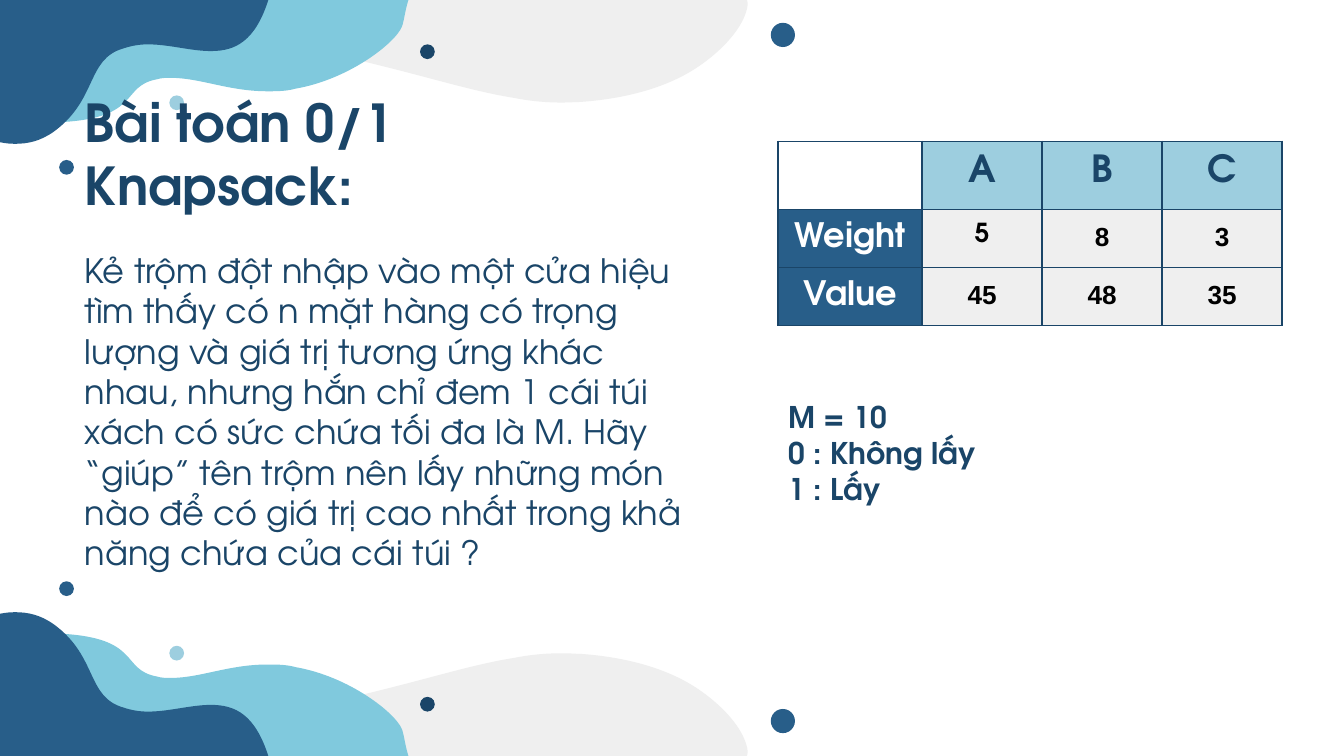
import dataclasses

import lxml.etree
import pptx
import pptx.dml.color
import pptx.enum.shapes
import pptx.enum.text
import pptx.oxml.ns
import pptx.util

# Grid: 100 columns across a 10 inch page, square units, 16:9
COLUMNS, ROWS = 100, 56.25
UNIT = pptx.util.Inches(10) / COLUMNS
ALIGN = pptx.enum.text.PP_ALIGN
ANCHOR = pptx.enum.text.MSO_ANCHOR


@dataclasses.dataclass(frozen=True)
class Theme:
    navy: str = "1A4568"
    blue: str = "285E89"
    aqua: str = "80C9DD"
    pale: str = "9DCEDF"
    grey: str = "EFEFEF"
    white: str = "FFFFFF"
    black: str = "000000"
    font: str = "TeX Gyre Adventor"
    number_font: str = "Arial"
    title: int = 28
    heading: int = 20
    body: int = 18
    note: int = 16
    number: int = 14


@dataclasses.dataclass(frozen=True)
class Box:
    left: float
    top: float
    width: float
    height: float

    def emu(self):
        return [grid(n) for n in (self.left, self.top, self.width, self.height)]


THEME = Theme()

# Waves of the top band: a start point, then lines (x, y) or cubic curves
WAVES = [
    (THEME.grey, (12.9, 0.2), [
        (18.3, 0, 23.6, 0, 29, -0.1), (34.1, -0.2, 39.2, -0.3, 44.3, -0.5),
        (51.8, -0.8), (52, -0.8, 52.3, -0.8, 52.7, -0.8),
        (54.1, -0.9, 55.9, -0.8, 55.6, 0.6), (55.2, 2.4, 53.2, 4.2, 51.6, 5.2),
        (49.2, 6.7, 46.1, 7.4, 43.1, 7.6), (43.1, 7.6, 43, 7.6, 42.9, 7.6),
        (41.4, 7.7, 39.8, 7.6, 38.3, 7.3),
        (36.4, 7, 34.5, 6.5, 32.6, 6), (27.7, 4.7, 22.8, 3.4, 17.8, 3),
        (15.1, 2.8, 12.3, 2.8, 9.6, 2.8), (7.5, 2.9, 5.4, 3.1, 3.3, 3.2),
        (3.3, 2.4, 3.3, 1.7, 3.2, 0.9), (6.5, 0.5, 9.7, 0.3, 12.9, 0.2)]),
    (THEME.aqua, (17.4, -1.5), [
        (21.6, -1.5, 25.7, -1.2, 30.6, -0.5), (30.2, 0.2, 30.1, 1.5, 29.9, 2),
        (29.4, 3.2, 26, 5.9, 22, 6.6), (21.3, 6.8, 20.6, 6.8, 19.9, 6.8),
        (17, 6.8, 14.9, 5.8, 12.7, 5.8), (12.4, 5.8, 12, 5.8, 11.7, 5.9),
        (8.9, 6.4, 10.6, 8.8, 4.4, 9.1), (5.2, 5.9, 5, 2.5, 4.8, -0.8),
        (9.5, -1.2, 13.5, -1.5, 17.4, -1.5)]),
    (THEME.blue, (1.1, 10.7), [
        (-1.1, 10.7, -3, 9.2, -3, 9.2), (-2.9, -0.1), (20, -0.1),
        (19, 3.1, 17.5, 3.8, 15.7, 3.8), (14.2, 3.8, 12.6, 3.3, 11, 3.3),
        (10.4, 3.3, 9.8, 3.4, 9.2, 3.6), (6.4, 4.4, 7.3, 7.4, 4, 9.8),
        (3, 10.5, 2.1, 10.7, 1.1, 10.7)]),
]
# Dots of the top band: centre x, centre y, diameter
DOTS = [(THEME.blue, 58.25, 2.6, 1.8), (THEME.blue, 4.95, 12.45, 1.1),
        (THEME.pale, 13.15, 7.65, 1.1), (THEME.navy, 31.8, 3.85, 1.1)]


def grid(units):
    return pptx.util.Emu(round(units * UNIT))


def rgb(code):
    return pptx.dml.color.RGBColor.from_string(code)


def paint(shape, colour):
    shape.shadow.inherit = False
    shape.fill.solid()
    shape.fill.fore_color.rgb = rgb(colour)
    shape.line.fill.background()


def add_outline(page, start, pieces, spot):
    """A freeform of lines and true cubic curves."""
    points = [spot(*piece[i:i + 2]) for piece in pieces for i in range(0, len(piece), 2)]
    builder = page.shapes.build_freeform(*spot(*start))
    builder.add_line_segments(points, close=True)
    shape = builder.convert_to_shape()
    # Join each run of three points into one curve
    segments = iter(list(shape.element.iter(pptx.oxml.ns.qn("a:lnTo"))))
    for piece in pieces:
        group = [next(segments) for _ in range(len(piece) // 2)]
        if len(group) == 3:
            curve = lxml.etree.Element(pptx.oxml.ns.qn("a:cubicBezTo"))
            group[0].addprevious(curve)
            for segment in group:
                curve.append(segment[0])
                segment.getparent().remove(segment)
    return shape


def write(para, text, size, colour, font=THEME.font, bold=True, align=ALIGN.LEFT):
    para.alignment = align
    span = para.add_run()
    span.text = text
    span.font.size = pptx.util.Pt(size)
    span.font.name = font
    span.font.bold = bold
    span.font.color.rgb = rgb(colour)


def place(placeholder, box):
    """Moves a placeholder to its box, above the waves."""
    placeholder.left, placeholder.top, placeholder.width, placeholder.height = box.emu()
    placeholder.element.getparent().append(placeholder.element)
    frame = placeholder.text_frame
    frame.word_wrap = True
    frame.auto_size = pptx.enum.text.MSO_AUTO_SIZE.NONE
    return frame


def add_waves(page, box, mirrored):
    def spot(x, y):
        return grid(box.left + x), grid(box.top + (box.height - y if mirrored else y))

    for colour, start, pieces in WAVES:
        paint(add_outline(page, start, pieces, spot), colour)
    for colour, x, y, size in DOTS:
        centre_x, centre_y = spot(x, y)
        side = grid(size)
        dot = page.shapes.add_shape(pptx.enum.shapes.MSO_SHAPE.OVAL,
                                    centre_x - side // 2, centre_y - side // 2, side, side)
        paint(dot, colour)


def add_title(page, box, text):
    frame = place(page.shapes.title, box)
    frame.vertical_anchor = ANCHOR.MIDDLE
    frame.margin_top = frame.margin_bottom = grid(1)
    write(frame.paragraphs[0], text, THEME.title, THEME.navy)


def add_body(page, box, text):
    para = place(page.placeholders[1], box).paragraphs[0]
    para.space_before = pptx.util.Pt(0)
    write(para, text, THEME.body, THEME.navy, bold=False)
    # No bullet and no hanging indent
    settings = para._p.get_or_add_pPr()
    settings.set("marL", "0")
    settings.set("indent", "0")
    lxml.etree.SubElement(settings, pptx.oxml.ns.qn("a:buNone"))


def add_borders(cell, colour):
    settings = cell._tc.get_or_add_tcPr()
    for index, side in enumerate(("lnL", "lnR", "lnT", "lnB")):
        line = lxml.etree.Element(pptx.oxml.ns.qn("a:" + side), w=str(pptx.util.Pt(1)))
        fill = lxml.etree.SubElement(line, pptx.oxml.ns.qn("a:solidFill"))
        lxml.etree.SubElement(fill, pptx.oxml.ns.qn("a:srgbClr"), val=colour)
        settings.insert(index, line)


def add_items(page, box, rows, widths, heights):
    table = page.shapes.add_table(len(rows), len(widths), *box.emu()).table
    table.first_row = table.horz_banding = False
    for column, width in zip(table.columns, widths):
        column.width = grid(width)
    for r, (row, height) in enumerate(zip(rows, heights)):
        table.rows[r].height = grid(height)
        for c, text in enumerate(row):
            cell = table.cell(r, c)
            cell.margin_left = cell.margin_right = grid(1)
            cell.margin_top = cell.margin_bottom = grid(1)
            add_borders(cell, THEME.navy)
            if not text:
                cell.fill.background()
                continue
            font = THEME.font
            if r == 0:
                fill, size, colour = THEME.pale, THEME.heading, THEME.navy
            elif c == 0:
                fill, size, colour = THEME.blue, THEME.body, THEME.white
                cell.vertical_anchor = ANCHOR.MIDDLE
            else:
                fill, size, colour = THEME.grey, THEME.number, THEME.black
                font = THEME.font if (r, c) == (1, 1) else THEME.number_font
            cell.fill.solid()
            cell.fill.fore_color.rgb = rgb(fill)
            write(cell.text_frame.paragraphs[0], text, size, colour, font, align=ALIGN.CENTER)


def add_notes(page, box, lines):
    frame = page.shapes.add_textbox(*box.emu()).text_frame
    frame.word_wrap = True
    for index, line in enumerate(lines):
        para = frame.add_paragraph() if index else frame.paragraphs[0]
        write(para, line, THEME.note, THEME.navy)


def main():
    deck = pptx.Presentation()
    deck.slide_width, deck.slide_height = grid(COLUMNS), grid(ROWS)
    page = deck.slides.add_slide(deck.slide_layouts[1])
    # Wave bands along the bottom and the top
    band = 14
    add_waves(page, Box(0, ROWS - band, COLUMNS, band), mirrored=True)
    add_waves(page, Box(0, 0, COLUMNS, band), mirrored=False)
    # Problem statement
    add_title(page, Box(5.3, 7.1, 44.7, 8.6), "Bài toán 0/1 Knapsack:")
    add_body(page, Box(5.3, 18.1, 48.2, 22.2),
             "Kẻ trộm đột nhập vào một cửa hiệu tìm thấy có n mặt hàng có trọng lượng "
             "và giá trị tương ứng khác nhau, nhưng hắn chỉ đem 1 cái túi xách có sức "
             "chứa tối đa là M. Hãy “giúp” tên trộm nên lấy những món nào để có giá trị "
             "cao nhất trong khả năng chứa của cái túi ?")
    # Items and capacity
    add_items(page, Box(57.9, 10.53, 37.5, 12.3),
              [("", "A", "B", "C"), ("Weight", "5", "8", "3"), ("Value", "45", "48", "35")],
              widths=(10.72, 8.93, 8.93, 8.93), heights=(3.7, 4.3, 4.3))
    add_notes(page, Box(57.7, 29.2, 19.9, 9.1), ["M = 10", "0 : Không lấy", "1 : Lấy"])
    deck.save("out.pptx")


if __name__ == "__main__":
    main()
